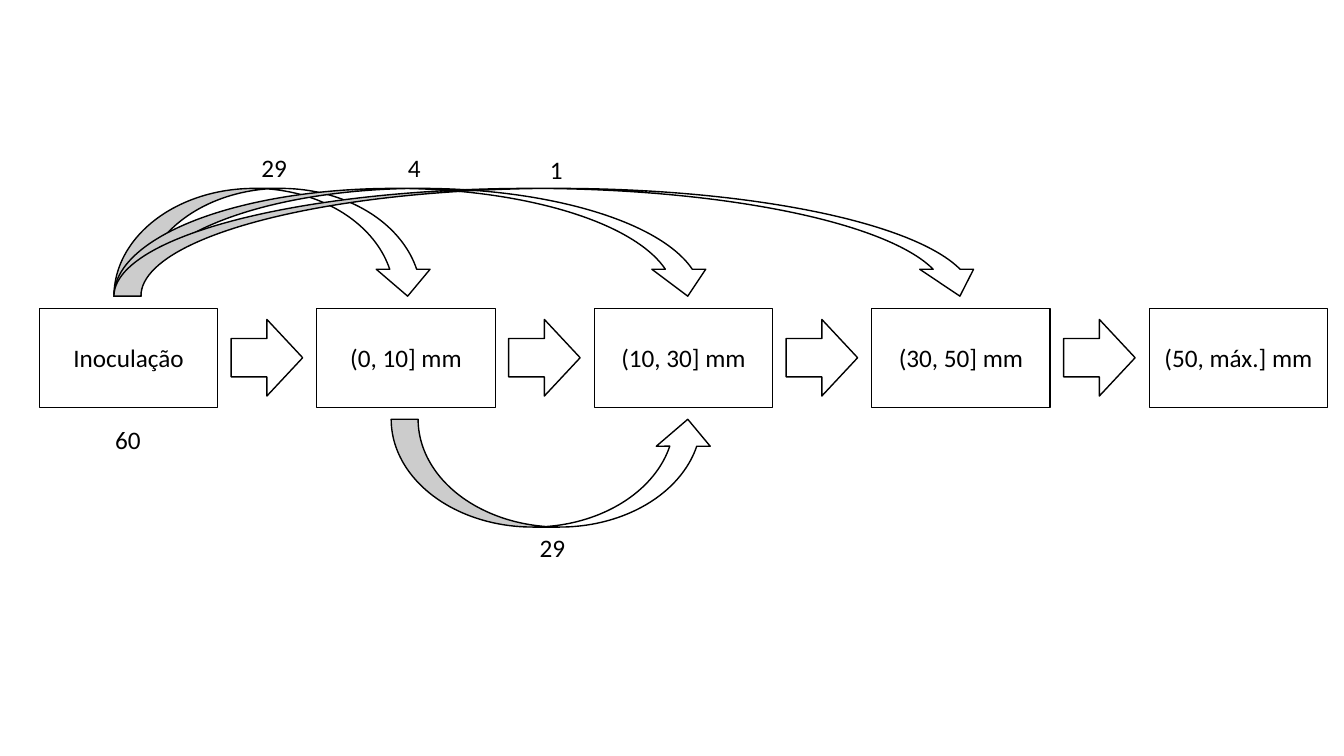
from typing import NamedTuple

from pptx import Presentation
from pptx.dml.color import RGBColor
from pptx.enum import shapes, text
from pptx.util import Pt

KIND = shapes.MSO_SHAPE
BLACK, WHITE = "000000", "FFFFFF"


class Box(NamedTuple):
    left: float
    top: float
    width: float
    height: float


class Jump(NamedTuple):
    kind: KIND
    box: Box
    count: str
    left: float
    top: float


def color(code: str) -> RGBColor:
    return RGBColor.from_string(code)


def write(frame, words: str, size: float = 18, font: str = "Calibri",
          fill: str = BLACK, anchor=text.MSO_ANCHOR.MIDDLE) -> None:
    frame.word_wrap = True
    frame.vertical_anchor = anchor
    par = frame.paragraphs[0]
    par.alignment = text.PP_ALIGN.CENTER
    run = par.add_run()
    run.text = words
    run.font.size = Pt(size)
    run.font.name = font
    run.font.color.rgb = color(fill)


def draw(kind: KIND, box: Box, words: str = "") -> None:
    shape = slide.shapes.add_shape(kind, *map(Pt, box))
    shape.shadow.inherit = False
    shape.fill.solid()
    shape.fill.fore_color.rgb = color(WHITE)
    shape.line.color.rgb = color(BLACK)
    shape.line.width = Pt(1)
    if words:
        write(shape.text_frame, words)


def label(words: str, left: float, top: float) -> None:
    frame = slide.shapes.add_textbox(*map(Pt, (left, top, 33.1, 29))).text_frame
    frame.margin_left = frame.margin_right = 0
    write(frame, words, anchor=text.MSO_ANCHOR.TOP)


deck = Presentation()
deck.slide_width, deck.slide_height = Pt(960), Pt(540)
slide = deck.slides.add_slide(deck.slide_layouts[6])

# Growth stages, left to right
STAGES = ["Inoculação", "(0, 10] mm", "(10, 30] mm", "(30, 50] mm",
          "(50, máx.] mm"]
LEFT, STEP = 28.1, 198.2
for i, stage in enumerate(STAGES):
    draw(KIND.RECTANGLE, Box(LEFT + i * STEP, 220.3, 127.5, 70.6), stage)

# Block arrows between neighbouring stages
for i in range(len(STAGES) - 1):
    draw(KIND.RIGHT_ARROW, Box(LEFT + 137 + i * STEP, 228.2, 51.1, 54.7))

# Initial count under the first stage
label("60", 74.9, 299.5)

# Curved arrows with the number of cases that made each jump
DOWN, UP = KIND.CURVED_DOWN_ARROW, KIND.CURVED_UP_ARROW
JUMPS = [
    Jump(DOWN, Box(81.4, 134.6, 229, 77), "29", 179.3, 105.1),
    Jump(DOWN, Box(81.4, 134.6, 429.1, 77), "4", 279.4, 105.1),
    Jump(DOWN, Box(81.4, 134.6, 623.5, 77), "1", 380.9, 106.6),
    Jump(UP, Box(279.4, 299.5, 231.1, 77), "29", 378, 376.6),
]
for jump in JUMPS:
    draw(jump.kind, jump.box)
    label(jump.count, jump.left, jump.top)

deck.save("out.pptx")
